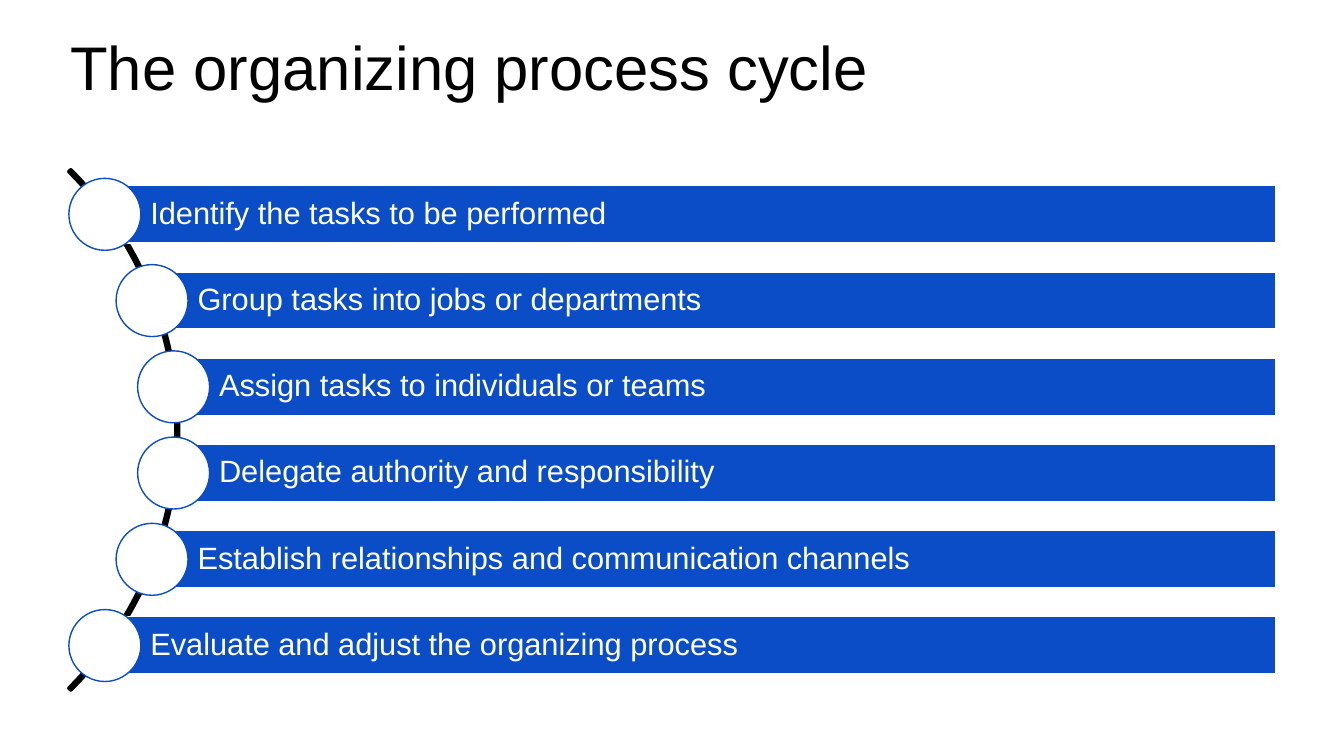
import pptx
import pptx.util
import pptx.dml.color
import pptx.enum.shapes
import pptx.enum.text

Pt = pptx.util.Pt
SHAPE = pptx.enum.shapes.MSO_SHAPE
ANCHOR = pptx.enum.text.MSO_ANCHOR

TITLE = "The organizing process cycle"
# (step, x of its circle's centre)
STEPS = [
    ("Identify the tasks to be performed", 74.9),
    ("Group tasks into jobs or departments", 108.6),
    ("Assign tasks to individuals or teams", 124),
    ("Delegate authority and responsibility", 124),
    ("Establish relationships and communication channels", 108.6),
    ("Evaluate and adjust the organizing process", 74.9),
]
BLUE, WHITE, BLACK = "0B4DC7", "FFFFFF", "000000"
FIRST_Y, PITCH = 153.1, 61.6
BAR_RIGHT, BAR_H, CIRCLE = 911.4, 41, 51.4
ARC_X, ARC_R = -135, 262.4


def rgb(value):
    return pptx.dml.color.RGBColor.from_string(value)


def add_shape(s, kind, x, y, w, h, fill, line, weight):
    sp = s.shapes.add_shape(kind, Pt(x), Pt(y), Pt(w), Pt(h))
    sp.shadow.inherit = False
    sp.fill.solid()
    sp.fill.fore_color.rgb = rgb(fill)
    sp.line.color.rgb = rgb(line)
    sp.line.width = Pt(weight)
    return sp


def set_text(sp, text, size, color, anchor, margins):
    """Margins are left, top, right, bottom."""
    tf = sp.text_frame
    tf.word_wrap = True
    tf.vertical_anchor = anchor
    tf.margin_left, tf.margin_top, tf.margin_right, tf.margin_bottom = map(Pt, margins)
    p = tf.paragraphs[0]
    p.alignment = pptx.enum.text.PP_ALIGN.LEFT
    p.line_spacing = 0.9
    r = p.add_run()
    r.text = text
    r.font.name = "Arial"
    r.font.size = Pt(size)
    r.font.color.rgb = rgb(color)


prs = pptx.Presentation()
prs.slide_width, prs.slide_height = Pt(960), Pt(540)
s = prs.slides.add_slide(prs.slide_layouts[6])

arc_y = FIRST_Y + PITCH * (len(STEPS) - 1) / 2
arc = add_shape(s, SHAPE.BLOCK_ARC, ARC_X - ARC_R, arc_y - ARC_R,
                2 * ARC_R, 2 * ARC_R, BLACK, BLACK, 3)
# start angle, end angle, thickness
for i, value in enumerate((189, 27, 0.003)):
    arc.adjustments[i] = value

for i, (step, x) in enumerate(STEPS):
    y = FIRST_Y + i * PITCH
    bar = add_shape(s, SHAPE.RECTANGLE, x, y - BAR_H / 2, BAR_RIGHT - x, BAR_H,
                    BLUE, WHITE, 1)
    set_text(bar, step, 22, WHITE, ANCHOR.MIDDLE, (32.5, 4.4, 4.4, 4.4))
    add_shape(s, SHAPE.OVAL, x - CIRCLE / 2, y - CIRCLE / 2, CIRCLE, CIRCLE,
              WHITE, BLUE, 1)

title = s.shapes.add_textbox(Pt(43.2), Pt(23), Pt(876), Pt(104.4))
set_text(title, TITLE, 44, BLACK, ANCHOR.TOP, (7.2, 3.6, 7.2, 3.6))

prs.save("out.pptx")
